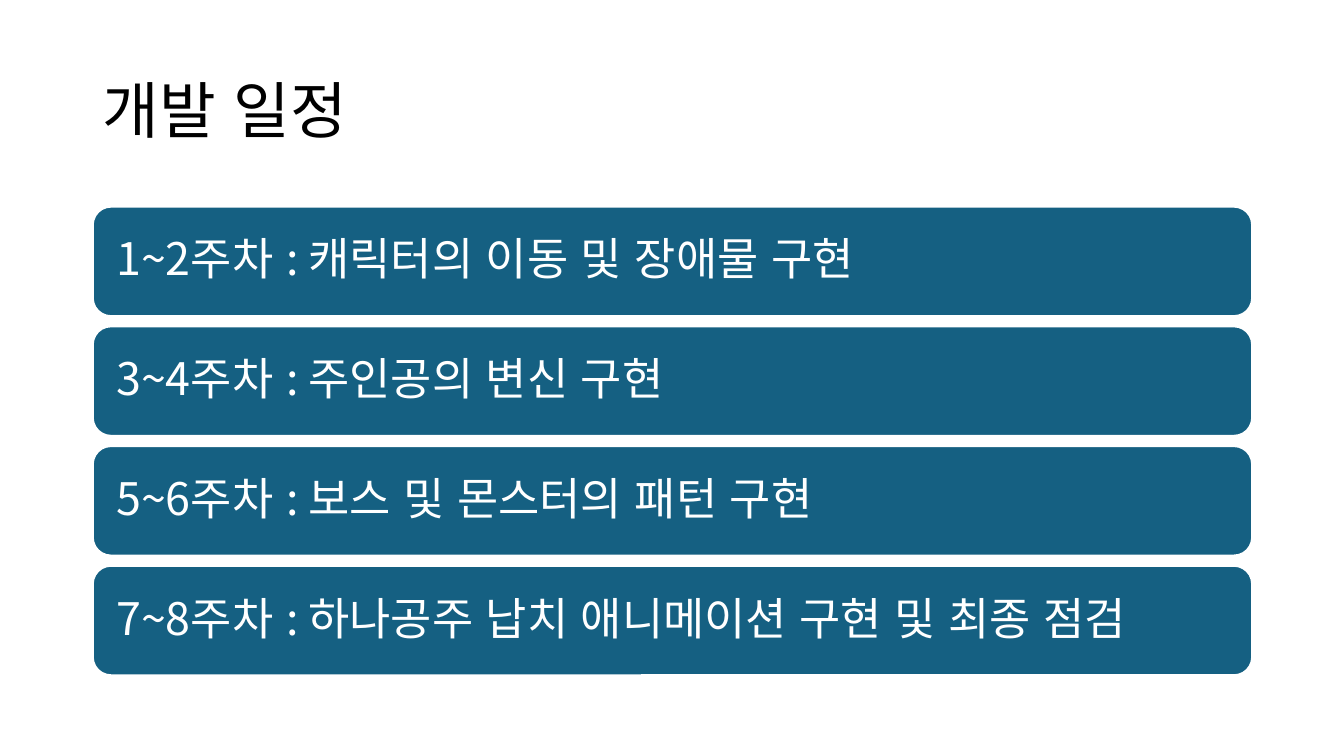
from pptx import Presentation
from pptx import util as u
from pptx.dml.color import RGBColor
from pptx.enum import lang, shapes, text
from lxml import etree

FONT = "Noto Sans CJK KR"
A = "http://schemas.openxmlformats.org/drawingml/2006/main"
SCHEDULE = [
    ("1~2주차", "캐릭터의 이동 및 장애물 구현"),
    ("3~4주차", "주인공의 변신 구현"),
    ("5~6주차", "보스 및 몬스터의 패턴 구현"),
    ("7~8주차", "하나공주 납치 애니메이션 구현 및 최종 점검"),
]


def color(value):
    return RGBColor.from_string(value)


def write(tf, content, size, fill):
    """Put one left-aligned, vertically centred line into a text frame."""
    tf.word_wrap = True
    tf.vertical_anchor = text.MSO_ANCHOR.MIDDLE
    p = tf.paragraphs[0]
    p.alignment = text.PP_ALIGN.LEFT
    p.line_spacing = 0.9
    r = p.add_run()
    r.text = content
    r.font.size = u.Pt(size)
    r.font.color.rgb = color(fill)
    r.font.name = FONT
    r.font.language_id = lang.MSO_LANGUAGE_ID.KOREAN
    # Korean glyphs take the East Asian typeface
    etree.SubElement(r.font._element, f"{{{A}}}ea", typeface=FONT)
    return p


def add_title(s, content, x, y, w, h):
    sp = s.shapes.title
    sp.left, sp.top, sp.width, sp.height = map(u.Inches, (x, y, w, h))
    write(sp.text_frame, content, 44, "000000")


def add_schedule(s, rows, x, y, w, h, gap=0.1):
    """Stack equal rounded bars in the given box, one per period."""
    bar_h = (h - gap * (len(rows) - 1)) / len(rows)
    for i, (weeks, task) in enumerate(rows):
        top = y + i * (bar_h + gap)
        sp = s.shapes.add_shape(shapes.MSO_SHAPE.ROUNDED_RECTANGLE,
                                *map(u.Inches, (x, top, w, bar_h)))
        sp.shadow.inherit = False
        sp.fill.solid()
        sp.fill.fore_color.rgb = color("156082")
        sp.line.color.rgb = color("FFFFFF")
        sp.line.width = u.Pt(1.5)
        tf = sp.text_frame
        tf.margin_left = tf.margin_right = u.Inches(0.18)
        p = write(tf, f"{weeks} : {task}", 32, "FFFFFF")
        p.space_after = u.Pt(11)


def main():
    prs = Presentation()
    prs.slide_width, prs.slide_height = u.Inches(13.33), u.Inches(7.5)
    s = prs.slides.add_slide(prs.slide_layouts[5])
    # Heading
    add_title(s, "개발 일정", 0.92, 0.4, 11.5, 1.45)
    # Schedule bars
    add_schedule(s, SCHEDULE, 0.92, 2.05, 11.5, 4.65)
    prs.save("out.pptx")


if __name__ == "__main__":
    main()
